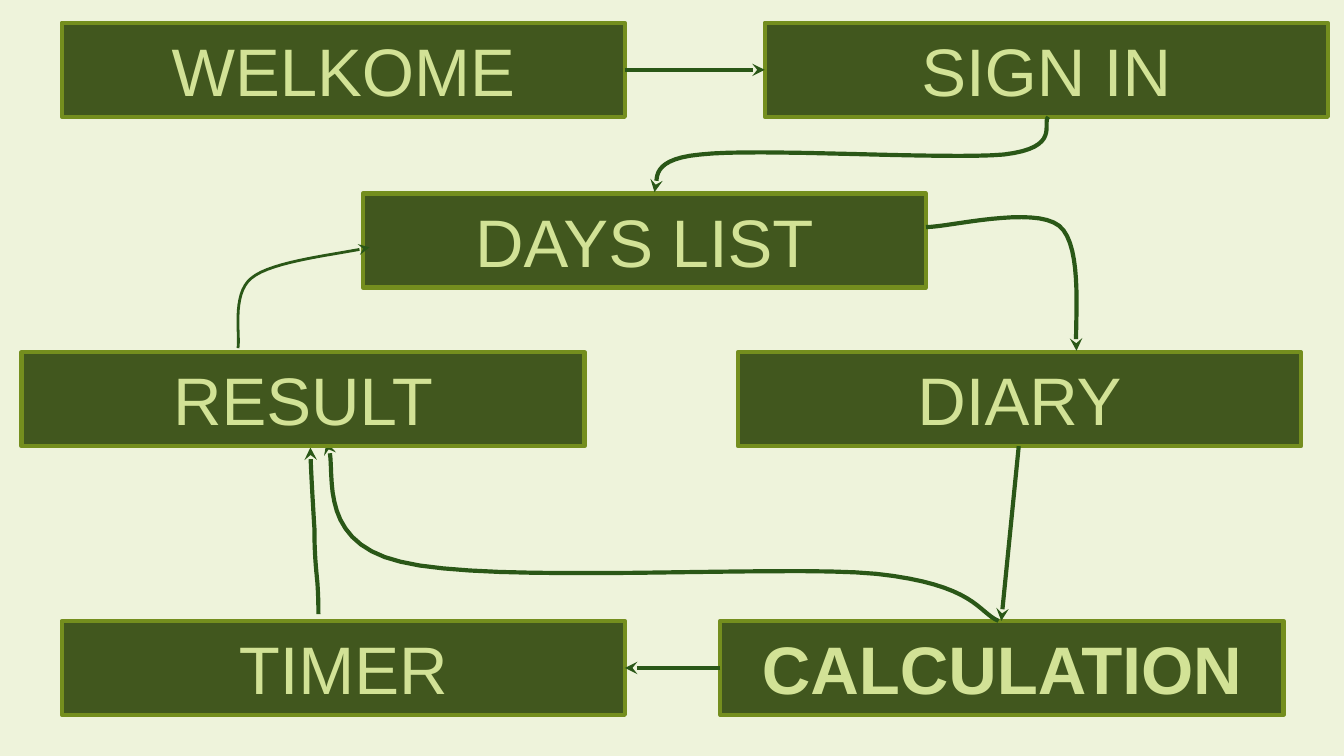
from pptx import Presentation
from pptx import util as u
from pptx.dml.color import RGBColor
from pptx.enum import shapes, text
from pptx.oxml import ns
from lxml import etree

PALE = RGBColor(0xEE, 0xF3, 0xDB)
DARK = RGBColor(0x41, 0x57, 0x1E)
OLIVE = RGBColor(0x74, 0x8E, 0x1E)
LIME = RGBColor(0xD2, 0xE2, 0x96)
GREEN = RGBColor(0x2A, 0x57, 0x17)

BOX_W, BOX_H = 4.19, 0.7
CURVE_STEPS = 16

BOXES = [
    ("WELKOME", 0.46, 0.17),
    ("SIGN IN", 5.69, 0.17),
    ("DAYS LIST", 2.7, 1.44),
    ("DIARY", 5.49, 2.62),
    ("TIMER", 0.46, 4.62),
]
ARROWS = [
    ((4.65, 0.52), (5.69, 0.52)),  # welcome to sign in
    ((5.36, 4.97), (4.65, 4.97)),  # calculation to timer
    ((7.58, 3.32), (7.45, 4.62)),  # diary to calculation
]
# Each curve: a start point, then two control points and an end point per arc.
CALCULATION_TO_RESULT = [
    (7.43, 4.62), (7.28, 4.56), (7.26, 4.35), (6.52, 4.27), (5.78, 4.2),
    (3.66, 4.35), (2.98, 4.18), (2.3, 4.02), (2.53, 3.44), (2.43, 3.29)]
TIMER_TO_RESULT = [
    (2.37, 4.57), (2.37, 4.53), (2.37, 4.42), (2.36, 4.31),
    (2.35, 4.21), (2.34, 4.1), (2.34, 3.93), (2.33, 3.77), (2.31, 3.43), (2.31, 3.33)]
DAYS_TO_DIARY = [
    (6.89, 1.69), (7.06, 1.69), (7.69, 1.53), (7.88, 1.68),
    (8.07, 1.83), (7.99, 2.45), (8.01, 2.61)]
SIGN_IN_TO_DAYS = [
    (7.8, 0.87), (7.75, 0.92), (7.9, 1.1), (7.47, 1.15), (7.04, 1.19),
    (5.64, 1.1), (5.21, 1.15), (4.78, 1.19), (4.92, 1.38), (4.87, 1.43)]
RESULT_TO_DAYS = [
    (1.77, 2.59), (1.79, 2.51), (1.72, 2.19), (1.87, 2.07),
    (2.02, 1.94), (2.54, 1.89), (2.75, 1.84)]


def bezier_points(points):
    """Sample a chain of cubic arcs, leaving out the start point."""
    result = []
    for i in range(0, len(points) - 1, 3):
        arc = points[i:i + 4]
        for step in range(1, CURVE_STEPS + 1):
            t = step / CURVE_STEPS
            weights = ((1 - t) ** 3, 3 * t * (1 - t) ** 2, 3 * t * t * (1 - t), t ** 3)
            result.append(tuple(sum(w * p[axis] for w, p in zip(weights, arc))
                                for axis in (0, 1)))
    return result


class FlowSlide:
    def __init__(self, prs):
        self.s = prs.slides.add_slide(prs.slide_layouts[6])
        fill = self.s.background.fill
        fill.solid()
        fill.fore_color.rgb = PALE

    def box(self, label, x, y, bold=False):
        sp = self.s.shapes.add_shape(
            shapes.MSO_SHAPE.RECTANGLE,
            u.Inches(x), u.Inches(y), u.Inches(BOX_W), u.Inches(BOX_H))
        sp.shadow.inherit = False
        sp.fill.solid()
        sp.fill.fore_color.rgb = DARK
        sp.line.color.rgb = OLIVE
        sp.line.width = u.Pt(2.25)
        tf = sp.text_frame
        tf.margin_left = tf.margin_right = tf.margin_top = tf.margin_bottom = u.Inches(0.1)
        tf.vertical_anchor = text.MSO_ANCHOR.MIDDLE
        p = tf.paragraphs[0]
        p.text = label
        p.alignment = text.PP_ALIGN.CENTER
        p.font.name = "Arial"
        p.font.size = u.Pt(36)
        p.font.bold = bold
        p.font.color.rgb = LIME

    def style_arrow(self, sp, width):
        sp.line.color.rgb = GREEN
        sp.line.width = u.Pt(width)
        ln = sp.element.spPr.find(ns.qn("a:ln"))
        etree.SubElement(ln, ns.qn("a:tailEnd"), type="stealth")

    def arrow(self, start, end):
        ends = [u.Inches(v) for v in start + end]
        sp = self.s.shapes.add_connector(shapes.MSO_CONNECTOR.STRAIGHT, *ends)
        self.style_arrow(sp, 2.25)
        etree.SubElement(sp.element.spPr, ns.qn("a:effectLst"))

    def curve(self, points, width=2.25):
        x, y = points[0]
        builder = self.s.shapes.build_freeform(u.Inches(x), u.Inches(y))
        builder.add_line_segments(
            [(u.Inches(x), u.Inches(y)) for x, y in bezier_points(points)], close=False)
        sp = builder.convert_to_shape()
        sp.fill.background()
        self.style_arrow(sp, width)
        sp.shadow.inherit = False


def main():
    prs = Presentation()
    prs.slide_width = u.Inches(10)
    prs.slide_height = prs.slide_width * 9 // 16
    flow = FlowSlide(prs)
    for label, x, y in BOXES:
        flow.box(label, x, y)
    flow.box("CALCULATION", 5.36, 4.62, bold=True)
    for start, end in ARROWS:
        flow.arrow(start, end)
    for points in (CALCULATION_TO_RESULT, TIMER_TO_RESULT, DAYS_TO_DIARY, SIGN_IN_TO_DAYS):
        flow.curve(points)
    flow.box("RESULT", 0.16, 2.62)  # covers the tip of the curve that ends under it
    flow.curve(RESULT_TO_DAYS, width=1.5)
    prs.save("out.pptx")


if __name__ == "__main__":
    main()
